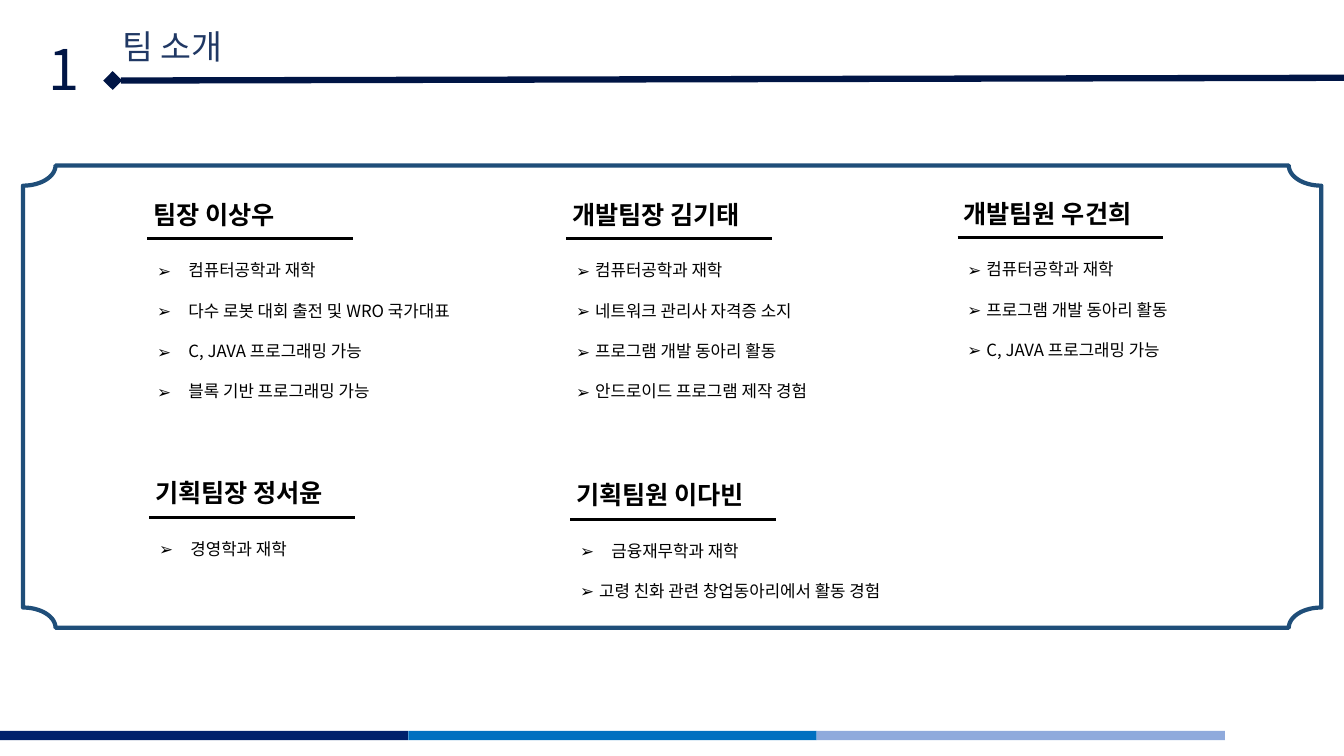
"""Build the team introduction slide."""
from math import cos, pi, sin
from typing import Any, NamedTuple

from lxml import etree
from pptx import Presentation
from pptx.dml.color import RGBColor
from pptx.enum.shapes import MSO_CONNECTOR, MSO_SHAPE
from pptx.enum.text import MSO_ANCHOR, MSO_AUTO_SIZE
from pptx.oxml.ns import qn
from pptx.util import Cm, Pt

RECTANGLE = MSO_SHAPE.RECTANGLE
STRAIGHT = MSO_CONNECTOR.STRAIGHT
TOP = MSO_ANCHOR.TOP
NO_FIT = MSO_AUTO_SIZE.NONE

NAVY = RGBColor(0x00, 0x15, 0x45)
TITLE_BLUE = RGBColor(0x20, 0x38, 0x64)
FRAME_BLUE = RGBColor(0x1F, 0x4E, 0x79)
BLACK = RGBColor(0x00, 0x00, 0x00)
WHITE = RGBColor(0xFF, 0xFF, 0xFF)
BAR_COLORS = (
    RGBColor(0x00, 0x21, 0x6C),
    RGBColor(0x00, 0x70, 0xC0),
    RGBColor(0x8F, 0xAA, 0xDC),
)

FONT = "Noto Sans CJK KR"
SLIDE_WIDTH, SLIDE_HEIGHT = 33.87, 19.05
BAR_WIDTH = 10.29
WIDE, NARROW = 0.79, 0.48


class Bullet(NamedTuple):
    text: str
    indent: float


class Member(NamedTuple):
    left: float
    top: float
    name: str
    list_width: float
    bullets: tuple[Bullet, ...]


MEMBERS = (
    Member(3.61, 4.9, "팀장 이상우", 8.79, (
        Bullet("컴퓨터공학과 재학", WIDE),
        Bullet("다수 로봇 대회 출전 및 WRO 국가대표", WIDE),
        Bullet("C, JAVA 프로그래밍 가능", WIDE),
        Bullet("블록 기반 프로그래밍 가능", WIDE),
    )),
    Member(14.17, 4.9, "개발팀장 김기태", 7.01, (
        Bullet("컴퓨터공학과 재학", NARROW),
        Bullet("네트워크 관리사 자격증 소지", NARROW),
        Bullet("프로그램 개발 동아리 활동", NARROW),
        Bullet("안드로이드 프로그램 제작 경험", NARROW),
    )),
    Member(24.03, 4.87, "개발팀원 우건희", 6.15, (
        Bullet("컴퓨터공학과 재학", NARROW),
        Bullet("프로그램 개발 동아리 활동", NARROW),
        Bullet("C, JAVA 프로그래밍 가능", NARROW),
    )),
    Member(14.27, 11.96, "기획팀원 이다빈", 9.02, (
        Bullet("금융재무학과 재학", WIDE),
        Bullet("고령 친화 관련 창업동아리에서 활동 경험", NARROW),
    )),
    Member(3.66, 11.91, "기획팀장 정서윤", 4.04, (
        Bullet("경영학과 재학", WIDE),
    )),
)


def apply_format(target: Any, values: dict[str, Any]) -> None:
    """Set every attribute named in the format values."""
    for name, value in values.items():
        setattr(target, name, value)


def add_span(para: Any, text: str, size: float, color: RGBColor, bold: bool = False) -> None:
    """Add one formatted span to a paragraph."""
    span = para.add_run()
    span.text = text
    apply_format(span.font, {"name": FONT, "size": Pt(size), "bold": bold})
    span.font.color.rgb = color
    east_asian = etree.SubElement(span.font._element, qn("a:ea"))
    east_asian.set("typeface", FONT)


def add_box(page: Any, left: float, top: float, width: float, height: float) -> Any:
    """Add an empty text box that does not wrap."""
    box = page.shapes.add_textbox(Cm(left), Cm(top), Cm(width), Cm(height))
    frame_format = {"word_wrap": False, "auto_size": NO_FIT, "vertical_anchor": TOP}
    apply_format(box.text_frame, frame_format)
    return box


def add_rule(page: Any, start: tuple[float, float], end: tuple[float, float],
             color: RGBColor, weight: float) -> Any:
    """Add a straight line without shadow."""
    rule = page.shapes.add_connector(STRAIGHT, *map(Cm, start + end))
    rule.line.color.rgb = color
    rule.line.width = Pt(weight)
    etree.SubElement(rule._element.spPr, qn("a:effectLst"))
    return rule


def add_footer(page: Any) -> None:
    """Add the row of coloured bars at the bottom."""
    for index, color in enumerate(BAR_COLORS):
        bar = page.shapes.add_shape(
            RECTANGLE, Cm(index * BAR_WIDTH), Cm(18.42), Cm(BAR_WIDTH), Cm(0.23))
        bar.shadow.inherit = False
        bar.fill.solid()
        bar.fill.fore_color.rgb = color
        bar.line.fill.background()


def add_header(page: Any) -> None:
    """Add the header line, the title and the section number."""
    rule = add_rule(page, (2.84, 2.03), (SLIDE_WIDTH, 1.96), NAVY, 4.5)
    diamond = etree.SubElement(rule.line._get_or_add_ln(), qn("a:headEnd"))
    diamond.set("type", "diamond")
    title = add_box(page, 2.84, 0.53, 3.35, 1.27)
    title.fill.solid()
    title.fill.fore_color.rgb = WHITE
    add_span(title.text_frame.paragraphs[0], "팀 소개", 24, TITLE_BLUE)
    number = add_box(page, 0.97, 0.74, 1.4, 1.96)
    add_span(number.text_frame.paragraphs[0], "1", 40, NAVY)


def add_frame(page: Any) -> None:
    """Add the frame with four scooped corners."""
    left, top, right, bottom = 0.58, 4.17, 33.3, 15.82
    radius_x, radius_y, steps = 0.82, 0.51, 16
    corners = ((left, top), (right, top), (right, bottom), (left, bottom))
    points = []
    for index, (center_x, center_y) in enumerate(corners):
        for step in range(steps + 1):
            angle = pi / 2 * (index + 1 - step / steps)
            points.append((center_x + radius_x * cos(angle), center_y + radius_y * sin(angle)))
    outline = [(Cm(x), Cm(y)) for x, y in points]
    builder = page.shapes.build_freeform(*outline[0])
    builder.add_line_segments(outline[1:], close=True)
    frame = builder.convert_to_shape()
    frame.shadow.inherit = False
    frame.fill.solid()
    frame.fill.fore_color.rgb = WHITE
    frame.line.color.rgb = FRAME_BLUE
    frame.line.width = Pt(3)


def add_member(page: Any, member: Member) -> None:
    """Add the heading, underline and bullet list of one member."""
    heading = add_box(page, member.left, member.top, 5.23, 1.02)
    add_span(heading.text_frame.paragraphs[0], member.name, 18, BLACK, bold=True)
    left, rule_top = member.left + 0.1, member.top + 1.12
    add_rule(page, (left, rule_top), (left + 5.18, rule_top), BLACK, 2.25)
    height = 0.76 + 1.02 * (len(member.bullets) - 1)
    box = add_box(page, left, member.top + 1.53, member.list_width, height)
    for index, bullet in enumerate(member.bullets):
        para = box.text_frame.add_paragraph() if index else box.text_frame.paragraphs[0]
        properties = para._p.get_or_add_pPr()
        properties.set("marL", str(Cm(bullet.indent)))
        properties.set("indent", str(-Cm(bullet.indent)))
        etree.SubElement(properties, qn("a:buFont")).set("typeface", FONT)
        etree.SubElement(properties, qn("a:buChar")).set("char", "➢")
        if index:
            para.space_before = Pt(14.4)
        add_span(para, bullet.text, 12, BLACK)


def main() -> None:
    """Create and save the deck."""
    deck = Presentation()
    apply_format(deck, {"slide_width": Cm(SLIDE_WIDTH), "slide_height": Cm(SLIDE_HEIGHT)})
    page = deck.slides.add_slide(deck.slide_layouts[6])
    add_footer(page)
    add_header(page)
    add_frame(page)
    for member in MEMBERS:
        add_member(page, member)
    deck.save("out.pptx")


if __name__ == "__main__":
    main()
